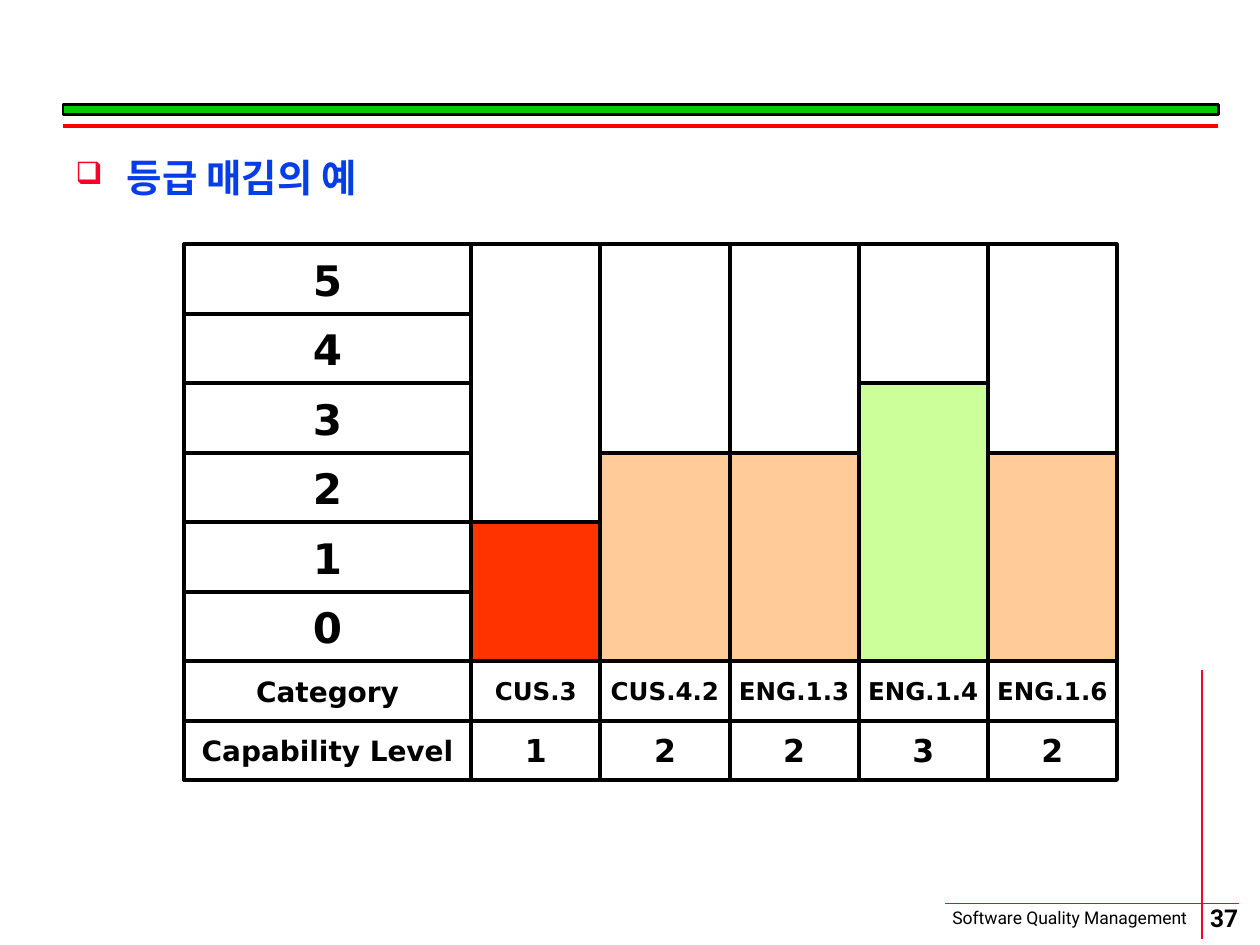
from dataclasses import dataclass
from typing import Optional

import pptx
import pptx.dml.color
import pptx.enum.shapes
import pptx.enum.text
import pptx.oxml.ns
import pptx.util
from lxml import etree
from pptx.dml.color import RGBColor
from pptx.enum.text import MSO_ANCHOR, PP_ALIGN
from pptx.util import Inches

BLACK = RGBColor(0x00, 0x00, 0x00)
WHITE = RGBColor(0xFF, 0xFF, 0xFF)
GREEN = RGBColor(0x00, 0xCC, 0x00)
RED = RGBColor(0xFF, 0x00, 0x00)
CRIMSON = RGBColor(0xFC, 0x01, 0x28)
BLUE = RGBColor(0x06, 0x3D, 0xE8)
LEVEL_COLORS = {
    1: RGBColor(0xFF, 0x33, 0x00),
    2: RGBColor(0xFF, 0xCC, 0x99),
    3: RGBColor(0xCC, 0xFF, 0x99),
}

GRID_LEFT, GRID_TOP = 1.46, 1.94
LABEL_WIDTH, COLUMN_WIDTH = 2.28, 1.025
SCALE_HEIGHT, FOOT_HEIGHT = 3.31, 0.47
TOP_LEVEL = 5
STEP = SCALE_HEIGHT / (TOP_LEVEL + 1)
COLUMNS_LEFT = GRID_LEFT + LABEL_WIDTH
SCALE_BOTTOM = GRID_TOP + SCALE_HEIGHT
LEVEL_ROW_TOP = SCALE_BOTTOM + FOOT_HEIGHT


@dataclass(frozen=True)
class Box:
    left: float
    top: float
    width: float
    height: float

    def lengths(self) -> tuple:
        return tuple(map(Inches, (self.left, self.top, self.width, self.height)))


@dataclass(frozen=True)
class Process:
    name: str
    level: int


PROCESSES = [
    Process("CUS.3", 1),
    Process("CUS.4.2", 2),
    Process("ENG.1.3", 2),
    Process("ENG.1.4", 3),
    Process("ENG.1.6", 2),
]


def write_text(shape, text: str, *, size: float, font: str = "DejaVu Sans",
               color: RGBColor = BLACK, bold: bool = True,
               align: PP_ALIGN = PP_ALIGN.CENTER,
               anchor: MSO_ANCHOR = MSO_ANCHOR.MIDDLE,
               wrap: bool = False, bullet: Optional[str] = None) -> None:
    frame = shape.text_frame
    frame.word_wrap = wrap
    frame.vertical_anchor = anchor
    paragraph = frame.paragraphs[0]
    paragraph.alignment = align
    if bullet:
        add_bullet(paragraph, bullet)
    run = paragraph.add_run()
    run.text = text
    run.font.name = font
    run.font.size = pptx.util.Pt(size)
    run.font.bold = bold
    run.font.color.rgb = color


def add_bullet(paragraph, character: str) -> None:
    """Give the paragraph a hanging crimson bullet at 80 % of the text size."""
    qn = pptx.oxml.ns.qn
    properties = paragraph._p.get_or_add_pPr()
    properties.set("marL", str(Inches(0.41)))
    properties.set("indent", str(Inches(-0.41)))
    color = etree.SubElement(properties, qn("a:buClr"))
    etree.SubElement(color, qn("a:srgbClr"), val=str(CRIMSON))
    etree.SubElement(properties, qn("a:buSzPct"), val="80000")
    etree.SubElement(properties, qn("a:buChar"), char=character)


def add_rectangle(slide, box: Box, *, fill: Optional[RGBColor] = None,
                  line_width: float = 2.25):
    shape = slide.shapes.add_shape(
        pptx.enum.shapes.MSO_SHAPE.RECTANGLE, *box.lengths())
    shape.shadow.inherit = False
    if fill is None:
        shape.fill.background()
    else:
        shape.fill.solid()
        shape.fill.fore_color.rgb = fill
    shape.line.color.rgb = BLACK
    shape.line.width = pptx.util.Pt(line_width)
    return shape


def add_line(slide, start: tuple[float, float], end: tuple[float, float],
             color: RGBColor, width: float) -> None:
    connector = slide.shapes.add_connector(
        pptx.enum.shapes.MSO_CONNECTOR.STRAIGHT, *map(Inches, start + end))
    connector.line.color.rgb = color
    connector.line.width = pptx.util.Pt(width)
    etree.SubElement(connector._element.spPr, pptx.oxml.ns.qn("a:effectLst"))


def add_frame(slide) -> None:
    """Draw the header rules, the footer and the page number."""
    add_line(slide, (7.5, 7.17), (9.83, 7.17), CRIMSON, 1)
    footer = slide.shapes.add_textbox(*Box(7.46, 7.15, 2.19, 0.27).lengths())
    write_text(footer, "Software Quality Management", size=10, font="Roboto",
               bold=False, align=PP_ALIGN.LEFT, anchor=MSO_ANCHOR.TOP, wrap=True)
    add_line(slide, (9.54, 5.32), (9.54, 7.45), CRIMSON, 1)
    number = slide.shapes.add_textbox(*Box(9.22, 7.14, 0.99, 0.28).lengths())
    frame = number.text_frame
    frame.margin_left = frame.margin_right = 0
    frame.margin_top = frame.margin_bottom = 0
    write_text(number, "37", size=14, font="Roboto")
    add_rectangle(slide, Box(0.5, 0.83, 9.17, 0.08), fill=GREEN, line_width=1.5)
    add_line(slide, (0.5, 1), (9.67, 1), RED, 2.25)


def add_process(slide, index: int, process: Process) -> None:
    """Draw one column: its level bar, its outline and its two foot cells."""
    left = COLUMNS_LEFT + index * COLUMN_WIDTH
    bar_height = (process.level + 1) * STEP
    add_rectangle(slide, Box(left, SCALE_BOTTOM - bar_height, COLUMN_WIDTH, bar_height),
                  fill=LEVEL_COLORS[process.level])
    add_rectangle(slide, Box(left, GRID_TOP, COLUMN_WIDTH, SCALE_HEIGHT))
    for top, text, size in ((SCALE_BOTTOM, process.name, 14),
                            (LEVEL_ROW_TOP, str(process.level), 18)):
        cell = add_rectangle(slide, Box(left, top, COLUMN_WIDTH, FOOT_HEIGHT), fill=WHITE)
        write_text(cell, text, size=size)


def add_row_labels(slide) -> None:
    for row in range(TOP_LEVEL + 1):
        cell = add_rectangle(
            slide, Box(GRID_LEFT, GRID_TOP + row * STEP, LABEL_WIDTH, STEP))
        write_text(cell, str(TOP_LEVEL - row), size=24)
    for top, text in ((SCALE_BOTTOM, "Category"), (LEVEL_ROW_TOP, "Capability Level")):
        cell = add_rectangle(
            slide, Box(GRID_LEFT, top, LABEL_WIDTH, FOOT_HEIGHT), fill=WHITE)
        write_text(cell, text, size=16)


def main() -> None:
    presentation = pptx.Presentation()
    presentation.slide_width = Inches(10)
    presentation.slide_height = Inches(7.5)
    slide = presentation.slides.add_slide(presentation.slide_layouts[6])

    add_frame(slide)
    heading = slide.shapes.add_textbox(*Box(0.5, 1.17, 9.17, 0.5).lengths())
    write_text(heading, "등급 매김의 예", size=22, font="Comic Neue", color=BLUE,
               align=PP_ALIGN.LEFT, anchor=MSO_ANCHOR.TOP, wrap=True, bullet="❑")
    for index, process in enumerate(PROCESSES):
        add_process(slide, index, process)
    add_row_labels(slide)

    presentation.save("out.pptx")


if __name__ == "__main__":
    main()
